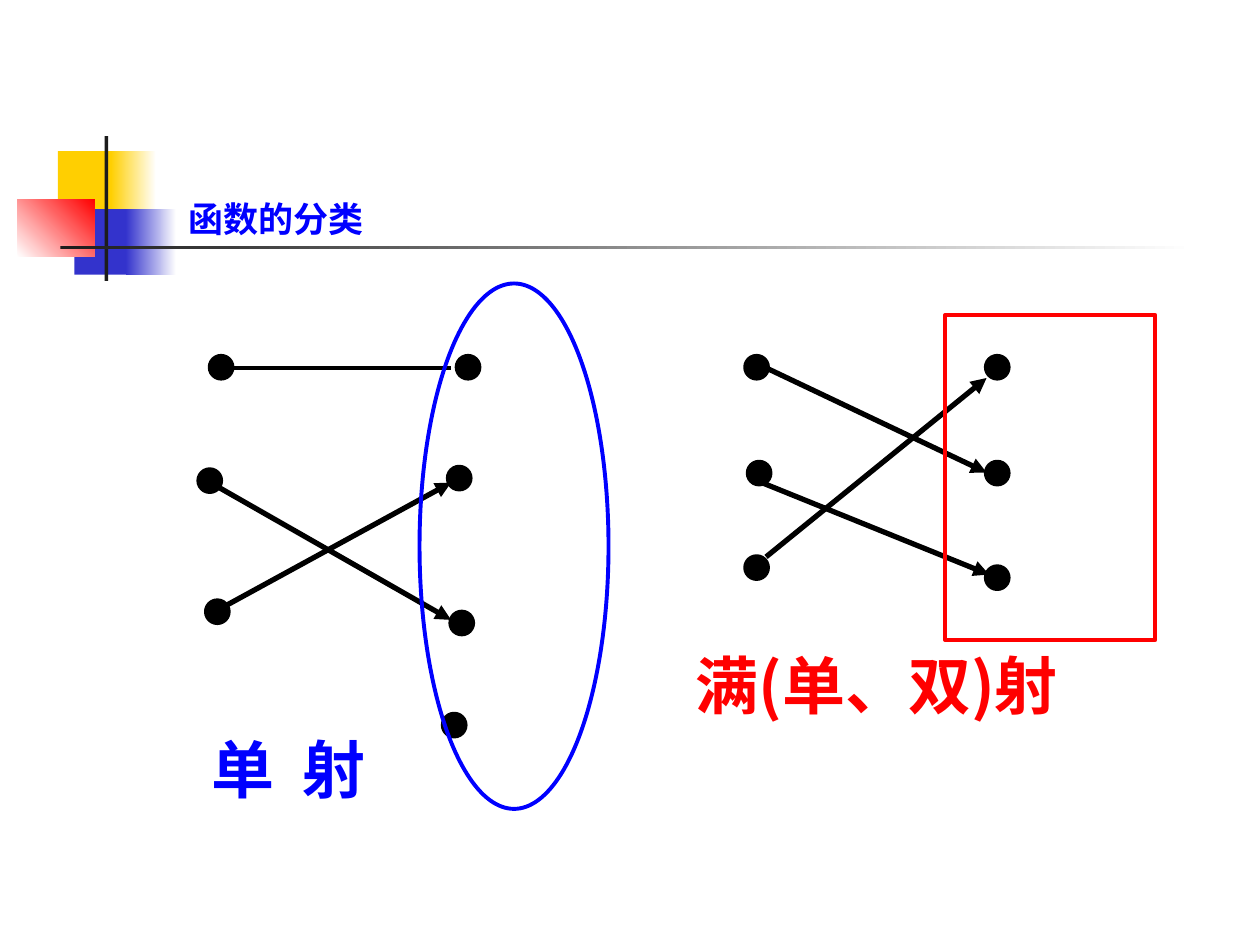
from typing import NamedTuple

import pptx
import pptx.dml.color
import pptx.enum.shapes
import pptx.enum.text
import pptx.oxml.ns
import pptx.util
from lxml import etree

Inches = pptx.util.Inches
Pt = pptx.util.Pt
MSO_SHAPE = pptx.enum.shapes.MSO_SHAPE

FONT = "Noto Sans CJK SC"
DOT_SIZE = 0.17
COLORS = {
    "yellow": "FFCF01",
    "indigo": "3333CC",
    "red": "FF0000",
    "blue": "0000FF",
    "dark": "1C1C1C",
    "black": "000000",
    "white": "FFFFFF",
}


class Block(NamedTuple):
    x: float
    y: float
    w: float
    h: float
    start: str
    end: str = ""
    angle: int = 0


class Arrow(NamedTuple):
    x1: float
    y1: float
    x2: float
    y2: float
    width: float = 3
    head: bool = True


class Outline(NamedTuple):
    x: float
    y: float
    w: float
    h: float
    kind: int
    color: str


class Label(NamedTuple):
    x: float
    y: float
    w: float
    h: float
    words: tuple[str, ...]
    size: int
    color: str


BLOCKS = [
    Block(0.46, 1.2, 0.48, 0.52, "yellow"),
    Block(0.88, 1.2, 0.36, 0.52, "yellow", "white"),
    Block(0.59, 1.66, 0.46, 0.52, "indigo"),
    Block(1, 1.66, 0.4, 0.52, "indigo", "white"),
    Block(0.14, 1.58, 0.61, 0.46, "white", "red", 45),
    Block(0.83, 1.08, 0.03, 1.15, "dark"),
    Block(0.48, 1.95, 9, 0.03, "dark", "white"),
]
ARROWS = [
    Arrow(6.08, 4.42, 7.83, 3),
    Arrow(6.02, 3.82, 7.85, 4.56),
    Arrow(6.08, 2.92, 7.83, 3.75),
    Arrow(1.67, 3.83, 3.58, 4.92),
    Arrow(1.75, 4.83, 3.58, 3.83),
    Arrow(1.83, 2.92, 3.58, 2.92, 2.25, False),
]
DOTS = [
    (5.92, 2.83), (5.94, 3.67), (5.92, 4.42),
    (7.83, 2.83), (7.83, 3.67), (7.83, 4.5),
    (1.67, 2.83), (1.58, 3.73), (1.64, 4.77),
    (3.63, 2.83), (3.56, 3.71), (3.58, 4.86), (3.52, 5.67),
]
OUTLINES = [
    Outline(3.33, 2.25, 1.5, 4.17, MSO_SHAPE.OVAL, "blue"),
    Outline(7.5, 2.5, 1.67, 2.58, MSO_SHAPE.RECTANGLE, "red"),
]
LABELS = [
    Label(1.4, 1.52, 3.18, 0.43, ("函数的分类",), 20, "blue"),
    Label(5.42, 5.08, 3.67, 0.7, ("满(单、双)射",), 36, "red"),
    Label(1.58, 5.75, 1.75, 0.7, ("单", " ", "射"), 36, "blue"),
]


def rgb(name: str) -> pptx.dml.color.RGBColor:
    return pptx.dml.color.RGBColor.from_string(COLORS[name])


def add_shape(s, kind: int, x: float, y: float, w: float, h: float):
    sp = s.shapes.add_shape(kind, Inches(x), Inches(y), Inches(w), Inches(h))
    sp.shadow.inherit = False
    return sp


def set_line(line, color: str, width: float) -> None:
    line.color.rgb = rgb(color)
    line.width = Pt(width)


def add_block(s, block: Block) -> None:
    sp = add_shape(s, MSO_SHAPE.RECTANGLE, *block[:4])
    sp.line.fill.background()
    if not block.end:
        sp.fill.solid()
        sp.fill.fore_color.rgb = rgb(block.start)
        return
    sp.fill.gradient()
    sp.fill.gradient_angle = block.angle
    for stop, color in zip(sp.fill.gradient_stops, (block.start, block.end)):
        stop.color.rgb = rgb(color)


def add_dot(s, x: float, y: float) -> None:
    sp = add_shape(s, MSO_SHAPE.OVAL, x, y, DOT_SIZE, DOT_SIZE)
    sp.fill.solid()
    sp.fill.fore_color.rgb = rgb("black")
    set_line(sp.line, "black", 3)


def add_outline(s, outline: Outline) -> None:
    sp = add_shape(s, outline.kind, *outline[:4])
    sp.fill.background()
    set_line(sp.line, outline.color, 2.25)


def add_arrow(s, arrow: Arrow) -> None:
    ends = [Inches(v) for v in arrow[:4]]
    cn = s.shapes.add_connector(pptx.enum.shapes.MSO_CONNECTOR.STRAIGHT, *ends)
    set_line(cn.line, "black", arrow.width)
    if arrow.head:
        ln = cn.line._get_or_add_ln()
        etree.SubElement(ln, pptx.oxml.ns.qn("a:tailEnd"), type="triangle")
    etree.SubElement(cn._element.spPr, pptx.oxml.ns.qn("a:effectLst"))


def add_label(s, label: Label) -> None:
    sp = s.shapes.add_textbox(*[Inches(v) for v in label[:4]])
    tf = sp.text_frame
    tf.word_wrap = True
    tf.auto_size = pptx.enum.text.MSO_AUTO_SIZE.SHAPE_TO_FIT_TEXT
    p = tf.paragraphs[0]
    style = {"name": FONT, "size": Pt(label.size), "bold": True}
    for word in label.words:
        r = p.add_run()
        r.text = word
        for key, value in style.items():
            setattr(r.font, key, value)
        r.font.color.rgb = rgb(label.color)
        props = r._r.get_or_add_rPr()
        etree.SubElement(props, pptx.oxml.ns.qn("a:ea"), typeface=FONT)
        if word == " ":
            props.set("spc", "800")


def main() -> None:
    prs = pptx.Presentation()
    prs.slide_width, prs.slide_height = Inches(10), Inches(7.5)
    s = prs.slides.add_slide(prs.slide_layouts[6])
    for block in BLOCKS:
        add_block(s, block)
    for x, y in DOTS:
        add_dot(s, x, y)
    for arrow in ARROWS:
        add_arrow(s, arrow)
    for label in LABELS:
        add_label(s, label)
    for outline in OUTLINES:
        add_outline(s, outline)
    prs.save("out.pptx")


if __name__ == "__main__":
    main()
